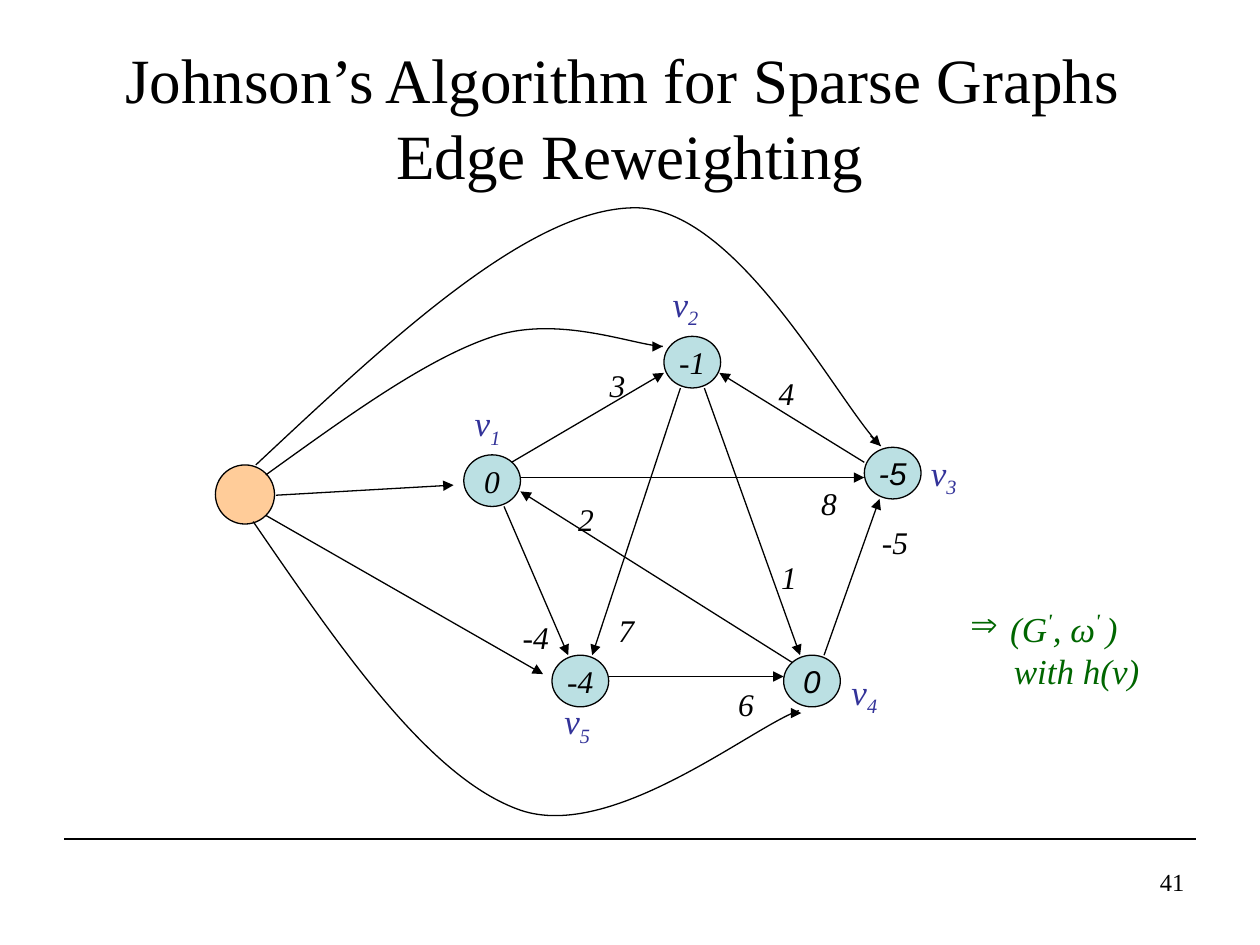
import pptx
import pptx.util
import pptx.dml.color
import pptx.enum.shapes
import pptx.enum.text
import pptx.oxml.xmlchemy

Pt = pptx.util.Pt
RGB = pptx.dml.color.RGBColor
KIND = pptx.enum.shapes.MSO_SHAPE
ALIGN = pptx.enum.text.PP_ALIGN
ANCHOR = pptx.enum.text.MSO_ANCHOR
FIT = pptx.enum.text.MSO_AUTO_SIZE
make = pptx.oxml.xmlchemy.OxmlElement

BLACK = RGB(0x00, 0x00, 0x00)
BLUE = RGB(0x33, 0x33, 0x99)
GREEN = RGB(0x00, 0x66, 0x00)
TEAL = RGB(0xBB, 0xE0, 0xE3)
PEACH = RGB(0xFF, 0xCC, 0x99)
SERIF, SANS = "Times New Roman", "Arial"
NODE_W, NODE_H = 32.4, 29.5

# Each node: left, top, text, font, left and top of its label
NODES = [
    (265, 259.9, "0", SERIF, 264.2, 226.1),
    (379.4, 192.2, "-1", SERIF, 377.3, 157.7),
    (493.9, 255.6, "-5", SANS, 524.9, 254.2),
    (447.8, 374.4, "0", SANS, 479.5, 379.4),
    (315.4, 374.4, "-4", SERIF, 315.4, 396),
]
# Each edge: start, end, weight, left and top of the weight
EDGES = [
    ((292.3, 264.2), (379.4, 213.1), "3", 341.3, 205.9),
    ((493.9, 264.2), (411.1, 213.1), "4", 437.8, 210.2),
    ((470.9, 374.4), (502.6, 285.1), "-5", 496.8, 295.2),
    ((347.8, 386.6), (447.8, 386.6), "6", 414.7, 388.1),
    ((288, 289.4), (324.7, 374.4), "-4", 291.6, 349.9),
    ((388.8, 221.8), (338.4, 374.4), "7", 346.3, 345.6),
    ((402.5, 221.8), (457.2, 374.4), "1", 439.2, 315.4),
    ((452.9, 378.7), (297.4, 280.8), "2", 323.3, 282.2),
    ((297.4, 272.9), (493.9, 272.9), "8", 462.2, 272.9),
]
# Each curve: its Bezier points, then the start and end of its arrowhead
CURVES = [
    ([(146.2, 265.7), (223.9, 193), (301.7, 120.2), (361.4, 118.8),
      (421.2, 116.6), (479.5, 231.8), (503.3, 254.9)],
     (497.5, 249.1), (503.3, 254.9)),
    ([(151.9, 271.4), (198, 238.3), (244.1, 204.5), (282.2, 192.2),
      (319.7, 180), (362.2, 197.3), (378.7, 198)],
     (373, 198), (378.7, 198)),
    ([(144.7, 298.1), (195.1, 371.5), (245.5, 445), (297.4, 463),
      (349.9, 481), (429.8, 415.4), (456.5, 406.1)],
     (452.2, 407.5), (457.9, 407.5)),
]
RAYS = [((157.7, 283), (259.2, 277.2)), ((151.9, 294.5), (310.3, 385.2))]


def write(para, *parts, size=18, font=SERIF, color=BLACK, italic=True,
          align=ALIGN.LEFT):
    """Fill a paragraph; a part is text, or text with its baseline shift in %."""
    para.alignment = align
    for part in parts:
        text, shift = (part, 0) if isinstance(part, str) else part
        run = para.add_run()
        run.text = text
        run.font.size, run.font.name = Pt(size), font
        run.font.italic, run.font.bold = italic, shift > 0
        run.font.color.rgb = color
        if shift:
            run.font._element.set("baseline", str(shift * 1000))


def label(slide, x, y, w, h, *parts, wrap=False, **form):
    """Add a text box; one that does not wrap grows with its text."""
    frame = slide.shapes.add_textbox(Pt(x), Pt(y), Pt(w), Pt(h)).text_frame
    frame.word_wrap = wrap
    frame.auto_size = FIT.NONE if wrap else FIT.SHAPE_TO_FIT_TEXT
    write(frame.paragraphs[0], *parts, **form)
    return frame


def oval(slide, x, y, w, h, fill):
    shape = slide.shapes.add_shape(KIND.OVAL, Pt(x), Pt(y), Pt(w), Pt(h))
    shape.shadow.inherit = False
    shape.fill.solid()
    shape.fill.fore_color.rgb = fill
    ink(shape)
    return shape


def ink(shape):
    shape.line.color.rgb = BLACK
    shape.line.width = Pt(0.75)


def line(slide, start, end, head=True):
    link = slide.shapes.add_connector(
        pptx.enum.shapes.MSO_CONNECTOR.STRAIGHT,
        *(Pt(v) for v in (*start, *end)))
    ink(link)
    link._element.spPr.append(make("a:effectLst"))
    if head:
        tip = make("a:tailEnd")
        tip.set("type", "triangle")
        link.line._get_or_add_ln().append(tip)


def curve(slide, points):
    """Draw a Bezier curve: a start, then three points for each segment."""
    spots = [(Pt(x), Pt(y)) for x, y in points]
    form = slide.shapes.build_freeform(*spots[0], scale=1.0)
    form.add_line_segments(spots[1:], close=False)
    shape = form.convert_to_shape()
    shape.shadow.inherit = False
    shape.fill.background()
    ink(shape)
    legs = shape._element.xpath(".//a:lnTo")
    for i in range(0, len(legs), 3):
        bend = make("a:cubicBezTo")
        legs[i].addprevious(bend)
        for leg in legs[i:i + 3]:
            bend.append(leg[0])
            leg.getparent().remove(leg)


def node(slide, x, y, text, font):
    frame = oval(slide, x, y, NODE_W, NODE_H, TEAL).text_frame
    frame.word_wrap = False
    frame.vertical_anchor = ANCHOR.MIDDLE
    write(frame.paragraphs[0], text, font=font, align=ALIGN.CENTER)


def head(slide):
    title = slide.shapes.title
    title.left, title.top, title.width, title.height = map(
        Pt, (36, 44.6, 648, 44))
    frame = title.text_frame
    frame.auto_size = FIT.NONE
    frame.vertical_anchor = ANCHOR.MIDDLE
    para = frame.paragraphs[0]
    form = dict(size=36, italic=False, align=ALIGN.CENTER)
    write(para, "Johnson’s Algorithm for Sparse Graphs ", **form)
    para.add_line_break()
    write(para, "Edge Reweighting", **form)


def indent(para, left, first=0):
    props = para._element.get_or_add_pPr()
    props.set("marL", str(Pt(left)))
    props.set("indent", str(Pt(first)))
    return props


def result(slide):
    form = dict(size=20, color=GREEN)
    frame = label(slide, 547.2, 343.4, 123.1, 55.4, "(G", ("'", 40), ", ω",
                  ("' ", 40), ")", wrap=True, **form)
    props = indent(frame.paragraphs[0], 23, -23)
    mark = make("a:buChar")
    mark.set("char", "⇒")
    props.append(mark)
    para = frame.add_paragraph()
    write(para, "with h(v)", **form)
    indent(para, 25)


def main():
    deck = pptx.Presentation()
    deck.slide_width, deck.slide_height = Pt(720), Pt(540)
    slide = deck.slides.add_slide(deck.slide_layouts[5])
    line(slide, (36.7, 479.5), (683.3, 479.5), head=False)
    head(slide)
    for x, y, text, font, *_ in NODES:
        node(slide, x, y, text, font)
    for start, end, *_ in EDGES:
        line(slide, start, end)
    for *_, text, x, y in EDGES:
        label(slide, x, y, 23.5 if len(text) == 1 else 29.5, 28.8, text)
    oval(slide, 123.1, 265.7, 33.8, 33.8, PEACH)
    for points, start, end in CURVES:
        curve(slide, points)
        line(slide, start, end)
    for start, end in RAYS:
        line(slide, start, end)
    for i, (*_, x, y) in enumerate(NODES, 1):
        label(slide, x, y, 30, 34.6, "v", (str(i), -25), size=20, color=BLUE)
    result(slide)
    label(slide, 516.2, 491.8, 167.8, 37.4, "41", wrap=True, size=14,
          italic=False, align=ALIGN.RIGHT)
    deck.save("out.pptx")


if __name__ == "__main__":
    main()
